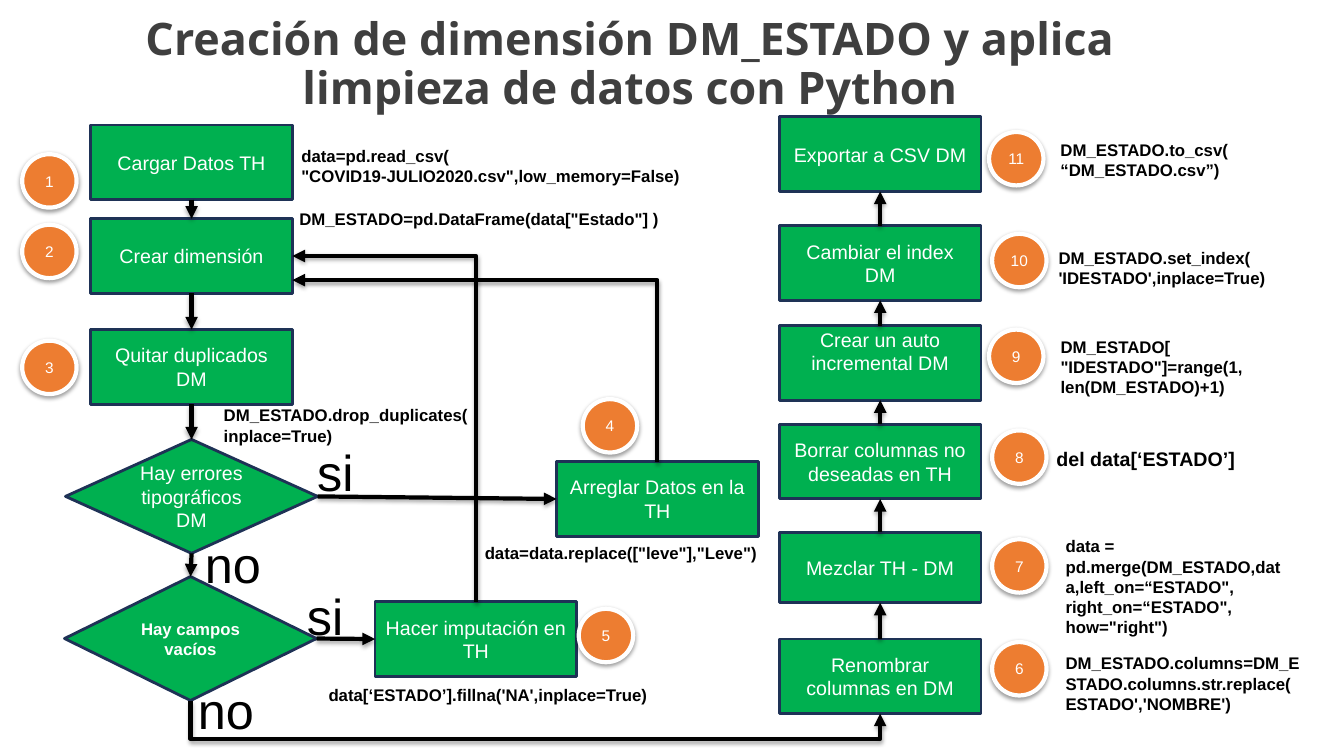
from lxml.etree import SubElement
from pptx import Presentation
from pptx.dml.color import RGBColor
from pptx.enum.shapes import MSO_CONNECTOR as LINK, MSO_SHAPE as SHAPE
from pptx.enum.text import MSO_ANCHOR as ANCHOR, PP_ALIGN as ALIGN
from pptx.oxml.ns import qn
from pptx.util import Inches, Pt

GREEN, NAVY, ORANGE = "00B050", "1E3256", "ED7D31"
WHITE, BLACK, GREY = "FFFFFF", "000000", "3F3F3F"
TOP, LEFT, BOTTOM, RIGHT = range(4)
BOX_W, BOX_H = 2, 0.74


def colour(value):
    """Turn a hex string into a colour."""
    return RGBColor.from_string(value)


def style(frame, size, ink, bold=False, align=ALIGN.CENTER, face="Arial"):
    """Format every paragraph of a text frame."""
    for paragraph in frame.paragraphs:
        paragraph.alignment = align
        for run in paragraph.runs:
            run.font.size, run.font.bold, run.font.name = Pt(size), bold, face
            run.font.color.rgb = colour(ink)


def cast_shadow(effects, blur, distance, opacity):
    """Fill an effect list with a soft shadow falling straight down."""
    shadow = SubElement(effects, qn("a:outerShdw"), blurRad=str(Pt(blur)), dist=str(Pt(distance)),
                        dir="5400000", rotWithShape="0")
    ink = SubElement(shadow, qn("a:srgbClr"), val=BLACK)
    SubElement(ink, qn("a:alpha"), val=str(opacity * 1000))


def add_filled(slide, kind, place, text, size, fill, line, width, bold=False):
    """Add a filled shape with centred white text."""
    shape = slide.shapes.add_shape(kind, *map(Inches, place))
    shape.shadow.inherit = False
    shape.fill.solid()
    shape.fill.fore_color.rgb = colour(fill)
    shape.line.color.rgb = colour(line)
    shape.line.width = Pt(width)
    frame = shape.text_frame
    frame.word_wrap = True
    frame.vertical_anchor = ANCHOR.MIDDLE
    frame.text = text
    style(frame, size, WHITE, bold)
    return shape


def add_process(slide, left, top, text, height=BOX_H):
    """Add a process box."""
    return add_filled(slide, SHAPE.RECTANGLE, (left, top, BOX_W, height), text, 14, GREEN, NAVY, 2)


def add_decision(slide, left, top, height, text, size, bold=False):
    """Add a decision diamond."""
    return add_filled(slide, SHAPE.DIAMOND, (left, top, 2.5, height), text, size, GREEN, NAVY, 2, bold)


def add_badge(slide, left, top, number):
    """Add a numbered step circle."""
    badge = add_filled(slide, SHAPE.OVAL, (left, top, 0.54, 0.53), str(number), 11, ORANGE, WHITE, 3)
    badge.text_frame.margin_left = badge.text_frame.margin_right = 0
    cast_shadow(badge._element.spPr.find(qn("a:effectLst")), 3.1, 1.6, 38)


def add_code(slide, left, top, width, height, text, size=12):
    """Add a bold code caption."""
    frame = slide.shapes.add_textbox(*map(Inches, (left, top, width, height))).text_frame
    frame.word_wrap = True
    frame.text = text
    style(frame, size, BLACK, True, ALIGN.LEFT)


def add_answer(slide, left, top, width, text):
    """Add the large label of a decision branch."""
    frame = slide.shapes.add_textbox(*map(Inches, (left, top, width, 0.71))).text_frame
    frame.word_wrap = False
    frame.text = text
    style(frame, 36, BLACK)


def finish_arrow(arrow):
    """Give a connector its black line, arrowhead and shadow."""
    arrow.line.color.rgb = colour(BLACK)
    arrow.line.width = Pt(3)
    SubElement(arrow.line._get_or_add_ln(), qn("a:tailEnd"), type="triangle")
    cast_shadow(SubElement(arrow._element.spPr, qn("a:effectLst")), 3.1, 1.8, 35)


def link(slide, source, source_side, target, target_side):
    """Join two shapes with a straight arrow."""
    arrow = slide.shapes.add_connector(LINK.STRAIGHT, 0, 0, 0, 0)
    arrow.begin_connect(source, source_side)
    arrow.end_connect(target, target_side)
    finish_arrow(arrow)


def add_elbow(slide, start, end, preset, flip, bend=None):
    """Add a bent arrow that leaves its start vertically."""
    (x1, y1), (x2, y2) = start, end
    along, across = abs(y2 - y1), abs(x2 - x1)
    left, top = (x1 + x2 - along) / 2, (y1 + y2 - across) / 2
    arrow = slide.shapes.add_connector(
        LINK.ELBOW, *map(Inches, (left, top, left + along, top + across)))
    properties = arrow._element.spPr
    transform = properties.find(qn("a:xfrm"))
    transform.set("rot", "16200000")
    transform.set(flip, "1")
    geometry = properties.find(qn("a:prstGeom"))
    geometry.set("prst", preset)
    if bend:
        SubElement(geometry.find(qn("a:avLst")), qn("a:gd"), name="adj1",
                   fmla=f"val {round(bend / along * 100000)}")
    finish_arrow(arrow)


def add_heading(slide, left, top, width, height):
    """Place the slide title."""
    title = slide.shapes.title
    title.left, title.top, title.width, title.height = map(Inches, (left, top, width, height))
    frame = title.text_frame
    frame.word_wrap = True
    frame.vertical_anchor = ANCHOR.MIDDLE
    frame.text = "Creación de dimensión DM_ESTADO y aplica limpieza de datos con Python"
    frame.paragraphs[0].line_spacing = 0.9
    style(frame, 32, GREY, True, face="Noto Sans")


def add_cleaning_flow(slide, left, top):
    """Draw the loading and cleaning loop with its decisions."""
    column = left + 0.68
    load = add_process(slide, column, top, "Cargar Datos TH")
    create = add_process(slide, column, top + 0.93, "Crear dimensión")
    dedupe = add_process(slide, column, top + 2.03, "Quitar duplicados DM")
    typos = add_decision(slide, left + 0.43, top + 3.12, 1.13, "Hay errores tipográficos DM", 14)
    gaps = add_decision(slide, left + 0.42, top + 4.48, 1.23, "Hay campos vacíos", 12, True)
    repair = add_process(slide, left + 5.3, top + 3.34, "Arreglar Datos en la TH")
    impute = add_process(slide, left + 3.5, top + 4.73, "Hacer imputación en TH")
    for source, target in ((load, create), (create, dedupe), (dedupe, typos), (typos, gaps)):
        link(slide, source, BOTTOM, target, TOP)
    link(slide, typos, RIGHT, repair, LEFT)
    link(slide, gaps, RIGHT, impute, LEFT)
    edge = column + BOX_W
    for x, y, entry in ((6.3, 3.34, 1.54), (4.5, 4.73, 1.3)):
        add_elbow(slide, (left + x, top + y), (edge, top + entry), "bentConnector2", "flipV")
    for x, y, width, answer in ((2.82, 3.09, 0.57, "si"), (1.71, 4, 0.76, "no"),
                                (1.64, 5.45, 0.76, "no"), (2.72, 4.52, 0.57, "si")):
        add_answer(slide, left + x, top + y, width, answer)
    badges = ((0, 0.29), (0, 0.99), (0, 2.14), (5.56, 2.72), (5.52, 4.8))
    for number, (x, y) in enumerate(badges, 1):
        add_badge(slide, left + x, top + y, number)
    for x, y, width, height, code in (
            (2.67, 0.16, 3.96, 0.5, 'data=pd.read_csv(\n"COVID19-JULIO2020.csv",low_memory=False)'),
            (2.65, 0.78, 4.5, 0.3, 'DM_ESTADO=pd.DataFrame(data["Estado"] )'),
            (1.9, 2.73, 2.91, 0.5, "DM_ESTADO.drop_duplicates(\ninplace=True)"),
            (4.49, 4.1, 3.2, 0.3, 'data=data.replace(["leve"],"Leve")'),
            (2.94, 5.5, 3.69, 0.3, "data[‘ESTADO’].fillna('NA',inplace=True)")):
        add_code(slide, left + x, top + y, width, height, code)


def add_dimension_column(slide, left, top):
    """Stack steps 6 to 11 upwards, each with its badge and code."""
    steps = (
        (5.18, BOX_H, "Renombrar columnas en DM", (2.11, 5.21), (2.74, 5.27, 2.53, 0.71), 12,
         "DM_ESTADO.columns=DM_ESTADO.columns.str.replace(ESTADO','NOMBRE')"),
        (4.12, 0.7, "Mezclar TH - DM", (2.11, 4.19), (2.74, 4.11, 2.38, 1.11), 12,
         'data = pd.merge(DM_ESTADO,data,left_on=“ESTADO",\nright_on=“ESTADO",\nhow="right")'),
        (3.05, BOX_H, "Borrar columnas no deseadas en TH", (2.11, 3.11), (2.65, 3.22, 2.73, 0.34), 14,
         "del data[‘ESTADO’]"),
        (2.07, BOX_H, "Crear un auto incremental DM", (2.08, 2.11), (2.69, 2.13, 2.38, 0.71), 12,
         'DM_ESTADO[\n"IDESTADO"]=range(1,\nlen(DM_ESTADO)+1)'),
        (1.08, BOX_H, "Cambiar el index DM", (2.11, 1.16), (2.67, 1.25, 2.29, 0.5), 12,
         "DM_ESTADO.set_index(\n'IDESTADO',inplace=True)"),
        (0, BOX_H, "Exportar a CSV DM", (2.08, 0.15), (2.69, 0.18, 2.74, 0.5), 12,
         "DM_ESTADO.to_csv(\n“DM_ESTADO.csv”)"),
    )
    previous = None
    for number, (y, height, label, badge, caption, size, code) in enumerate(steps, 6):
        step = add_process(slide, left, top + y, label, height)
        if number == 9:
            step.text_frame.margin_bottom = Inches(0.28)
        if previous:
            link(slide, previous, TOP, step, BOTTOM)
        previous = step
        add_badge(slide, left + badge[0], top + badge[1], number)
        x, y, width, height = caption
        add_code(slide, left + x, top + y, width, height, code, size)


def main():
    """Build and save the slide."""
    deck = Presentation()
    deck.slide_width, deck.slide_height = Inches(13.33), Inches(7.5)
    slide = deck.slides.add_slide(deck.slide_layouts[5])
    add_heading(slide, 0.5, 0.06, 11.5, 1.18)
    add_cleaning_flow(slide, 0.22, 1.24)
    add_dimension_column(slide, 7.73, 1.16)
    add_elbow(slide, (1.89, 6.95), (8.73, 7.08), "bentConnector3", "flipH", 0.38)
    deck.save("out.pptx")


if __name__ == "__main__":
    main()
